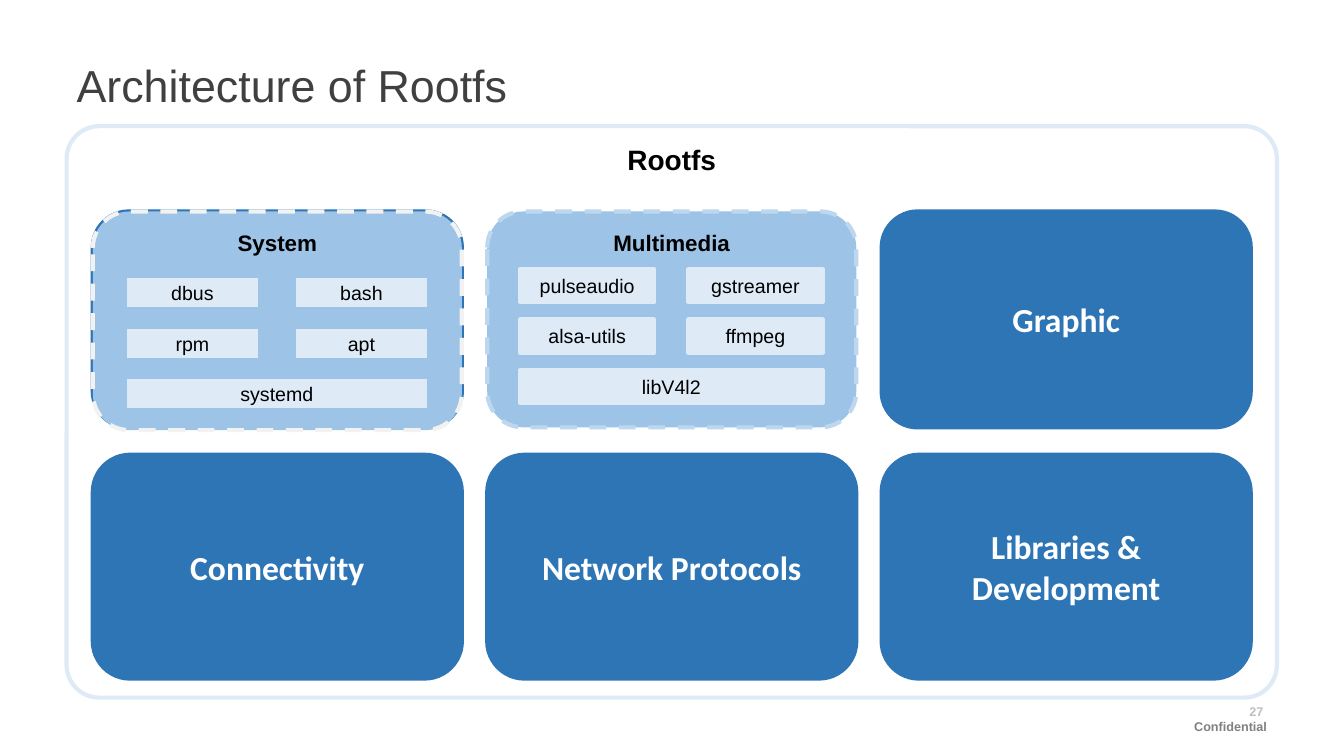
from dataclasses import dataclass

from pptx import Presentation
from pptx.dml.color import RGBColor
from pptx.enum.dml import MSO_LINE
from pptx.enum.shapes import MSO_SHAPE
from pptx.enum.text import MSO_ANCHOR, MSO_AUTO_SIZE, PP_ALIGN
from pptx.util import Cm, Pt


@dataclass(frozen=True)
class Theme:
    white: str = "FFFFFF"
    black: str = "000000"
    title: str = "404040"
    page_number: str = "BFBFBF"
    footer: str = "808080"
    block: str = "2E75B6"
    card: str = "9DC3E6"
    tile: str = "DEEBF7"
    system_edge: str = "F2F2F2"
    multimedia_edge: str = "BDD7EE"
    title_size: int = 32
    block_size: int = 24
    frame_size: int = 20
    card_size: int = 16
    tile_size: int = 14
    footer_size: int = 9


THEME = Theme()


def write(box, text, size, color, font="Arial", bold=False,
          align=PP_ALIGN.CENTER, anchor=MSO_ANCHOR.TOP, margins=(0, 0)):
    frame = box.text_frame
    frame.word_wrap = True
    frame.auto_size = MSO_AUTO_SIZE.NONE
    frame.vertical_anchor = anchor
    frame.margin_left = frame.margin_right = Cm(margins[0])
    frame.margin_top = frame.margin_bottom = Cm(margins[1])
    frame.text = text
    para = frame.paragraphs[0]
    para.alignment = align
    span = para.runs[0]
    span.font.name = font
    span.font.size = Pt(size)
    span.font.bold = bold
    span.font.color.rgb = RGBColor.from_string(color)


def add_box(shapes, kind, place, fill, edge, text="", **style):
    """Add a 3 pt outlined shape; place is left, top, width, height in cm."""
    box = shapes.add_shape(kind, *(Cm(length) for length in place))
    box.shadow.inherit = False
    if fill:
        box.fill.solid()
        box.fill.fore_color.rgb = RGBColor.from_string(fill)
    else:
        box.fill.background()
    box.line.color.rgb = RGBColor.from_string(edge)
    box.line.width = Pt(3)
    if text:
        write(box, text, margins=(0.33, 0.18), **style)
    return box


deck = Presentation()
deck.slide_width, deck.slide_height = Cm(33.87), Cm(19.05)
page = deck.slides.add_slide(deck.slide_layouts[5])

# Title and footer
title = page.shapes.title
title.left, title.top, title.width, title.height = Cm(1.93), Cm(1.45), Cm(30), Cm(2.54)
write(title, "Architecture of Rootfs", THEME.title_size, THEME.title, align=PP_ALIGN.LEFT)

for text, left, top, width, color in [
    ("27", 27.74, 17.73, 4.1, THEME.page_number),
    ("Confidential", 27.89, 18.11, 4.04, THEME.footer),
]:
    box = page.shapes.add_textbox(Cm(left), Cm(top), Cm(width), Cm(0.64))
    write(box, text, THEME.footer_size, color, bold=True, align=PP_ALIGN.RIGHT)

# Rootfs frame
frame_box = add_box(page.shapes, MSO_SHAPE.ROUNDED_RECTANGLE, (1.68, 3.18, 30.5, 14.4),
                    None, THEME.tile, "Rootfs", size=THEME.frame_size,
                    color=THEME.black, bold=True)
frame_box.adjustments[0] = 0.057

# Grid of blocks; the System block is only a backing for its card
column_lefts = [2.34 + 9.94 * column for column in range(3)]
rows = [(5.33, 5.44), (11.46, 5.64)]
block_width = 9.3
for text, column, row in [
    ("", 0, 0),
    ("Graphic", 2, 0),
    ("Connectivity", 0, 1),
    ("Network Protocols", 1, 1),
    ("Libraries & Development", 2, 1),
]:
    top, height = rows[row]
    add_box(page.shapes, MSO_SHAPE.ROUNDED_RECTANGLE,
            (column_lefts[column], top, block_width, height), THEME.block, THEME.block,
            text, size=THEME.block_size, color=THEME.white, font="Calibri", bold=True,
            anchor=MSO_ANCHOR.MIDDLE)

# Detailed cards: two rows of paired tiles above one wide tile
tile_height, tile_row_step = 0.84, 1.27
for name, column, card_height, card_edge, tile_edge, left, top, width, step, tiles in [
    ("System", 0, 5.51, THEME.system_edge, THEME.card, 3.15, 6.96, 3.4, 4.26,
     ["dbus", "bash", "rpm", "apt", "systemd"]),
    ("Multimedia", 1, 5.44, THEME.multimedia_edge, THEME.tile, 13.11, 6.78, 3.38, 4.24,
     ["pulseaudio", "gstreamer", "alsa-utils", "ffmpeg", "libV4l2"]),
]:
    group = page.shapes.add_group_shape()
    card = add_box(group.shapes, MSO_SHAPE.ROUNDED_RECTANGLE,
                   (column_lefts[column], rows[0][0], block_width, card_height),
                   THEME.card, card_edge, name, size=THEME.card_size,
                   color=THEME.black, bold=True)
    card.line.dash_style = MSO_LINE.DASH
    for index, text in enumerate(tiles):
        tile_row, tile_column = divmod(index, 2)
        tile_width = step + width if index == len(tiles) - 1 else width
        add_box(group.shapes, MSO_SHAPE.RECTANGLE,
                (left + tile_column * step, top + tile_row * tile_row_step,
                 tile_width, tile_height),
                THEME.tile, tile_edge, text, size=THEME.tile_size, color=THEME.black,
                anchor=MSO_ANCHOR.MIDDLE)

deck.save("out.pptx")
